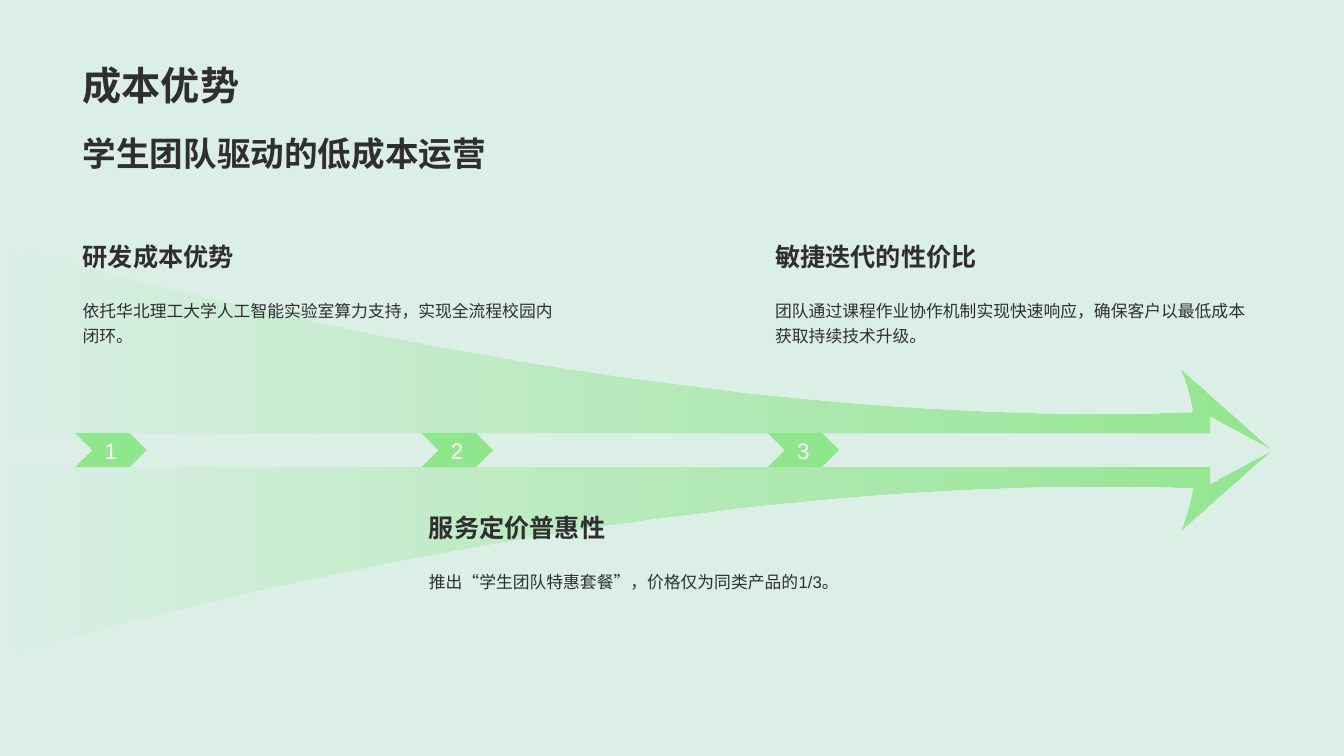
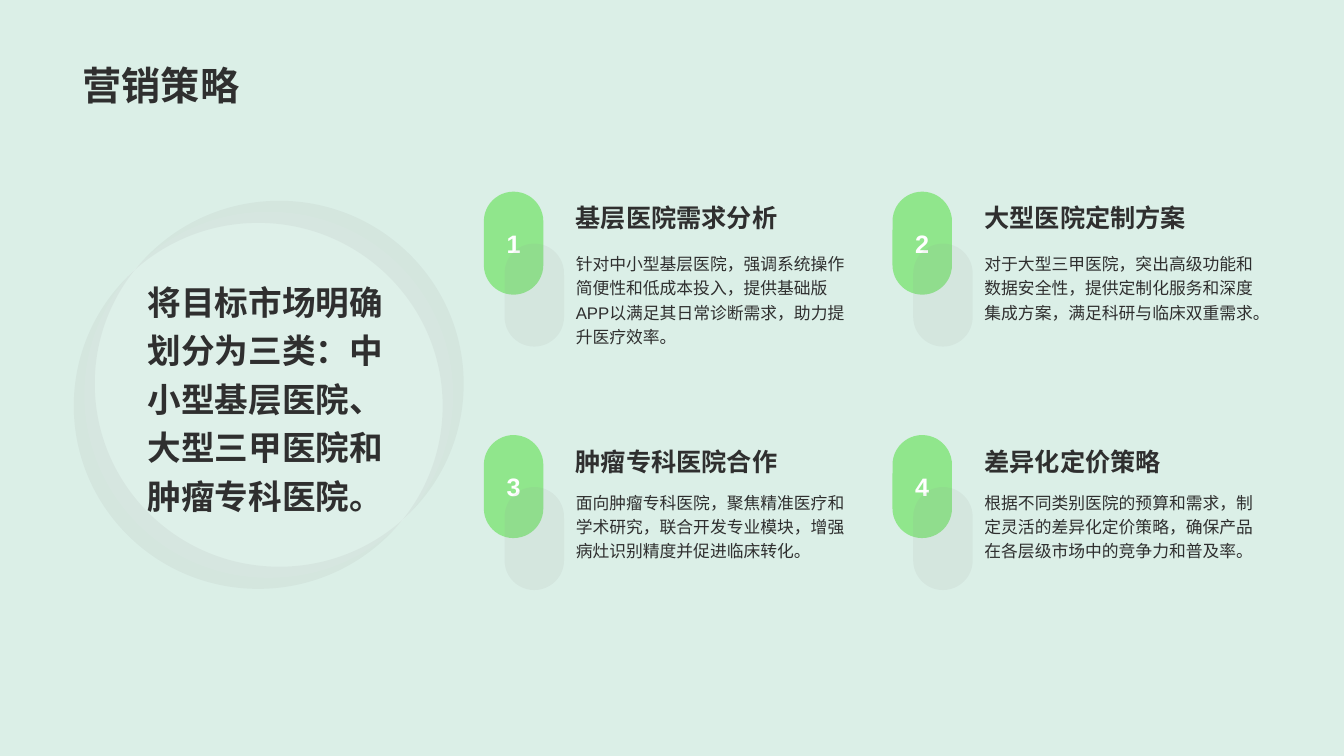
from pptx import Presentation
from pptx.dml.color import RGBColor
from pptx.enum.lang import MSO_LANGUAGE_ID as Lang
from pptx.enum.shapes import MSO_SHAPE as Kind
from pptx.enum.text import MSO_ANCHOR as Anchor, PP_ALIGN as Align
from pptx.oxml.ns import qn
from pptx.util import Pt

FONT = "Arial"
BACK, INK, GREEN, GREY, WHITE = "DBEFE7", "2F2F2F", "90E68C", "979797", "FFFFFF"
LEFT, WIDE = 52, 855


def tint(color, code):
    color.rgb = RGBColor.from_string(code)


def fade(shape, *parts):
    """Set the opacity, in percent, of each fill colour in turn."""
    for node, part in zip(shape._element.spPr.iter(qn("a:srgbClr")), parts):
        alpha = node.makeelement(qn("a:alpha"), {"val": str(part * 1000)})
        node.append(alpha)


def clean(shape):
    shape.shadow.inherit = False
    shape.line.fill.background()


def write(shape, text, size, bold=False, code=INK, space=1.2,
          anchor=Anchor.TOP, align=Align.LEFT, wrap=True):
    frame = shape.text_frame
    frame.word_wrap = wrap
    frame.vertical_anchor = anchor
    para = frame.paragraphs[0]
    para.alignment = align
    para.line_spacing = space
    run = para.add_run()
    run.text = text
    font = run.font
    font.name, font.size, font.bold = FONT, Pt(size), bold
    font.language_id = Lang.SIMPLIFIED_CHINESE
    tint(font.color, code)


def label(slide, box, text, size, **style):
    write(slide.shapes.add_textbox(*map(Pt, box)), text, size, **style)


def block(slide, kind, box, code, part=100):
    shape = slide.shapes.add_shape(kind, *map(Pt, box))
    clean(shape)
    shape.fill.solid()
    tint(shape.fill.fore_color, code)
    if part < 100:
        fade(shape, part)
    if kind == Kind.ROUNDED_RECTANGLE:
        shape.adjustments[0] = 0.5
    return shape


def badge(shape, num, size, bold):
    write(shape, str(num), size, bold=bold, code=WHITE, space=1,
          anchor=Anchor.MIDDLE, align=Align.CENTER, wrap=False)


def trace(slide, loops):
    """Draw closed outlines as one shape.

    Each outline is a list of parts: one point for a line,
    three points (two handles and an end) for a curve.
    """
    pen = None
    for first, *parts in loops:
        spot = [Pt(v) for v in first[0]]
        if pen is None:
            pen = slide.shapes.build_freeform(*spot)
        else:
            pen.move_to(*spot)
        pen.add_line_segments([(Pt(x), Pt(y)) for part in parts for x, y in part],
                              close=False)
        pen.add_line_segments([], close=True)
    shape = pen.convert_to_shape()
    clean(shape)
    # Join the three points of each curve
    lines = iter(list(shape._element.spPr.iter(qn("a:lnTo"))))
    for part in (part for loop in loops for part in loop[1:]):
        nodes = [next(lines) for _ in part]
        if len(nodes) == 3:
            bend = nodes[0].makeelement(qn("a:cubicBezTo"), {})
            nodes[0].addprevious(bend)
            for node in nodes:
                bend.append(node[0])
                node.getparent().remove(node)
    return shape


def oval(x, y, w, h):
    """Four curves round an ellipse, from its right end."""
    a, b, k = w / 2, h / 2, 0.5523
    turns = [(1, 0), (0, 1), (-1, 0), (0, -1), (1, 0)]
    spots = [[(1, 0)]]
    for (p, q), (r, s) in zip(turns, turns[1:]):
        spots.append([(p + k * r, q + k * s), (r + k * p, s + k * q), (r, s)])
    return [[(x + a * (1 + u), y + b * (1 + v)) for u, v in part]
            for part in spots]


def start(deck, title):
    slide = deck.slides.add_slide(deck.slide_layouts[6])
    fill = slide.background.fill
    fill.solid()
    tint(fill.fore_color, BACK)
    label(slide, (LEFT, 10.1, WIDE, 70.6), title, 28, bold=True,
          space=1, anchor=Anchor.BOTTOM)
    return slide


# Cost slide: split arrow with three steps
def arrow(slide, axis):
    half = [
        [(0, 12)],
        [(0, 148)],
        [(25, 140.6), (429, 18.9), (824.6, 26.2)],
        [(851.2, 27)],
        [(851.2, 30)],
        [(849, 40), (846.9, 49), (842.6, 58)],
        [(908, 0)],
        [(863.6, 24)],
        [(863.6, 12)],
    ]
    shape = trace(slide, [[[(x, axis + side * y) for x, y in part]
                           for part in half] for side in (-1, 1)])
    shape.fill.gradient()
    shape.fill.gradient_angle = 180
    for stop in shape.fill.gradient_stops:
        tint(stop.color, GREEN)
    fade(shape, 95, 0)


def step(slide, x, y, axis, num, head, body):
    mark = block(slide, Kind.CHEVRON, (x + 1.7, axis - 12.25, 51.1, 24.5), GREEN)
    badge(mark, num, 16, False)
    label(slide, (x, y, 360.7, 38.2), head, 18, bold=True, anchor=Anchor.MIDDLE)
    label(slide, (x, y + 46.6, 360.7, 80.6), body, 12)


def cost(deck):
    slide = start(deck, "成本优势")
    axis = 321.5
    arrow(slide, axis)
    label(slide, (LEFT, 89.3, WIDE, 40.3), "学生团队驱动的低成本运营", 24,
          bold=True, space=1, anchor=Anchor.MIDDLE)
    steps = [
        ("研发成本优势",
         "依托华北理工大学人工智能实验室算力支持，实现全流程校园内闭环。"),
        ("服务定价普惠性",
         "推出“学生团队特惠套餐”，价格仅为同类产品的1/3。"),
        ("敏捷迭代的性价比",
         "团队通过课程作业协作机制实现快速响应，确保客户以最低成本获取持续技术升级。"),
    ]
    for i, (head, body) in enumerate(steps):
        y = 355.7 if i % 2 else 162.1
        step(slide, LEFT + 247.3 * i, y, axis, i + 1, head, body)


# Market slide: ringed summary beside a grid of four plans
def ring(slide, x, y, text):
    size = (263.5, 261.4)
    disc = block(slide, Kind.ROUNDED_RECTANGLE, (x, y, *size), WHITE, 10)
    write(disc, text, 24, bold=True, anchor=Anchor.MIDDLE)
    moons = trace(slide, [oval(x + 7.5 * d, y - 7.9 * d, *size) for d in (1, -1)])
    moons.fill.solid()
    tint(moons.fill.fore_color, GREY)
    fade(moons, 10)


def plan(slide, x, y, gap, num, head, body):
    label(slide, (x + 58.6, y + gap, 210.2, 90), body, 12)
    label(slide, (x + 58.6, y, 210.2, gap), head, 18, bold=True)
    pill = block(slide, Kind.ROUNDED_RECTANGLE, (x, y, 42.5, 73.6), GREEN)
    badge(pill, num, 18, True)
    block(slide, Kind.ROUNDED_RECTANGLE, (x + 14.8, y + 37.1, 42.5, 73.6), GREY, 10)


def market(deck):
    slide = start(deck, "营销策略")
    ring(slide, 60.2, 151.3,
         "将目标市场明确划分为三类：中小型基层医院、大型三甲医院和肿瘤专科医院。")
    plans = [
        ("基层医院需求分析",
         "针对中小型基层医院，强调系统操作简便性和低成本投入，"
         "提供基础版APP以满足其日常诊断需求，助力提升医疗效率。"),
        ("大型医院定制方案",
         "对于大型三甲医院，突出高级功能和数据安全性，"
         "提供定制化服务和深度集成方案，满足科研与临床双重需求。"),
        ("肿瘤专科医院合作",
         "面向肿瘤专科医院，聚焦精准医疗和学术研究，"
         "联合开发专业模块，增强病灶识别精度并促进临床转化。"),
        ("差异化定价策略",
         "根据不同类别医院的预算和需求，制定灵活的差异化定价策略，"
         "确保产品在各层级市场中的竞争力和普及率。"),
    ]
    gaps = (38.1, 34.5)
    for i, (head, body) in enumerate(plans):
        row, col = divmod(i, 2)
        plan(slide, 345.6 + 291.9 * col, 136.9 + 173.9 * row, gaps[row],
             i + 1, head, body)


def main():
    deck = Presentation()
    deck.slide_width, deck.slide_height = Pt(960), Pt(540)
    cost(deck)
    market(deck)
    deck.save("out.pptx")


if __name__ == "__main__":
    main()
